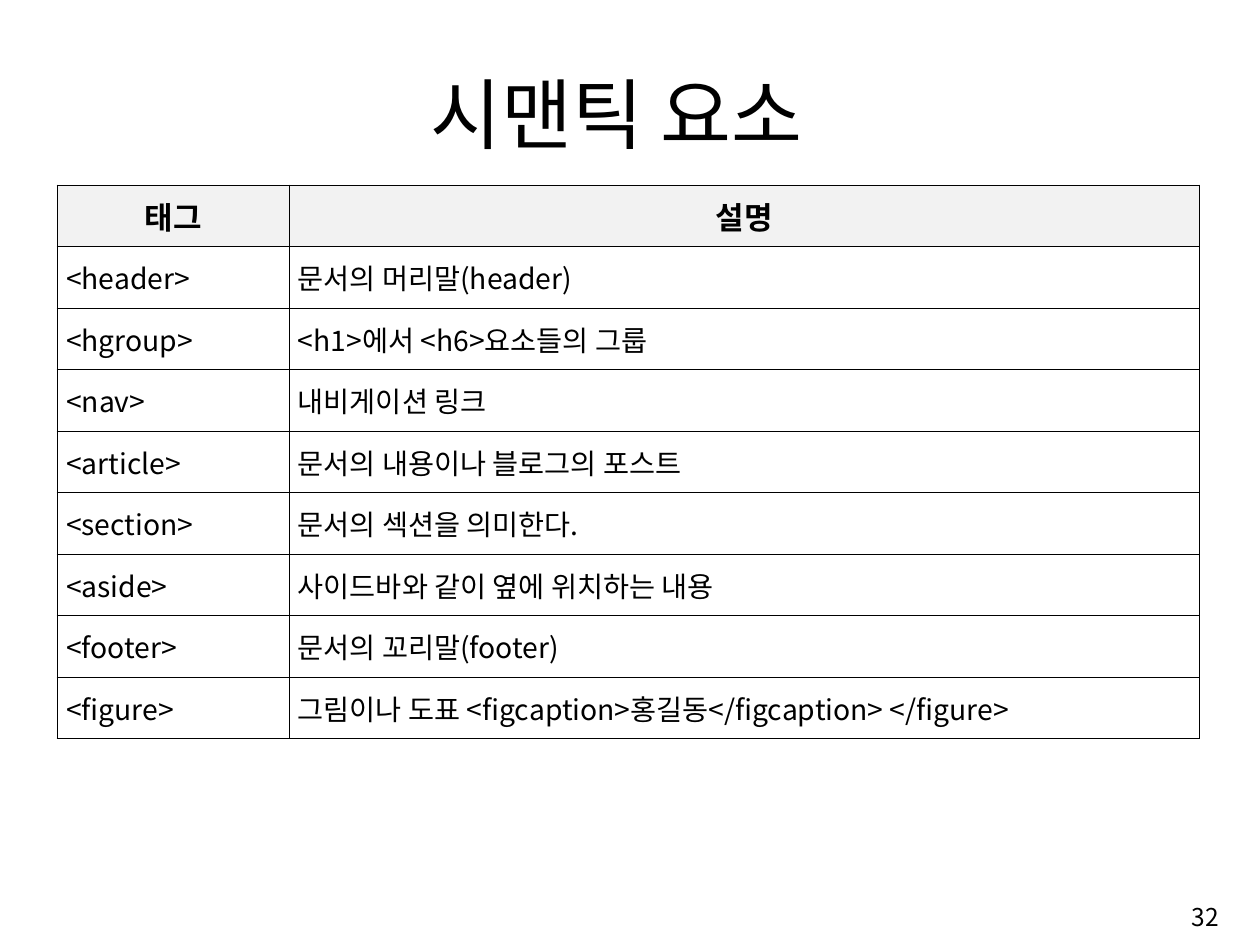
from dataclasses import dataclass

from lxml.etree import SubElement
from pptx import Presentation
from pptx.dml.color import RGBColor as Rgb
from pptx.enum.text import MSO_ANCHOR as Anchor, MSO_AUTO_SIZE as Fit, PP_ALIGN as Align
from pptx.oxml.ns import qn
from pptx.slide import Slide
from pptx.table import _Cell as Cell
from pptx.text.text import TextFrame as Frame
from pptx.util import Cm, Pt

FONT = "Noto Sans CJK KR"
COLORS = {"ink": "000000", "head": "F2F2F2"}
COLS = (6.07, 23.83)
ROW = 1.61


@dataclass
class Style:
    size: float
    align: Align
    bold: bool = False


@dataclass
class Entry:
    tag: str
    note: str


HEAD = Style(23, Align.CENTER, True)
BODY = Style(21, Align.JUSTIFY)
ROWS = [
    Entry("태그", "설명"),
    Entry("<header>", "문서의 머리말(header)"),
    Entry("<hgroup>", "<h1>에서 <h6>요소들의 그룹"),
    Entry("<nav>", "내비게이션 링크"),
    Entry("<article>", "문서의 내용이나 블로그의 포스트"),
    Entry("<section>", "문서의 섹션을 의미한다."),
    Entry("<aside>", "사이드바와 같이 옆에 위치하는 내용"),
    Entry("<footer>", "문서의 꼬리말(footer)"),
    Entry("<figure>", "그림이나 도표 <figcaption>홍길동</figcaption> </figure>"),
]


def write(frame: Frame, text: str, style: Style) -> None:
    para = frame.paragraphs[0]
    para.alignment = style.align
    run = para.add_run()
    run.text = text
    font = run.font
    font.name = FONT
    font.size = Pt(style.size)
    font.bold = style.bold
    font.color.rgb = Rgb.from_string(COLORS["ink"])
    SubElement(run._r.get_or_add_rPr(), qn("a:ea"), typeface=FONT)


def border(cell: Cell) -> None:
    props = cell._tc.get_or_add_tcPr()
    for index, side in enumerate(("lnL", "lnR", "lnT", "lnB")):
        line = SubElement(props, qn(f"a:{side}"), w=str(Pt(1)))
        fill = SubElement(line, qn("a:solidFill"))
        SubElement(fill, qn("a:srgbClr"), val=COLORS["ink"])
        props.insert(index, line)


def fill_cell(cell: Cell, text: str, head: bool) -> None:
    cell.vertical_anchor = Anchor.MIDDLE
    cell.margin_left = cell.margin_right = Cm(0.23)
    cell.margin_top = cell.margin_bottom = Cm(0.08)
    if head:
        cell.fill.solid()
        cell.fill.fore_color.rgb = Rgb.from_string(COLORS["head"])
    else:
        cell.fill.background()
    border(cell)
    write(cell.text_frame, text, HEAD if head else BODY)


def add_title(slide: Slide) -> None:
    title = slide.shapes.title
    title.left, title.top = Cm(2.67), Cm(1.55)
    title.width, title.height = Cm(26.95), Cm(2.74)
    frame = title.text_frame
    frame.auto_size = Fit.NONE
    frame.vertical_anchor = Anchor.BOTTOM
    write(frame, "시맨틱 요소", Style(57.2, Align.CENTER))


def add_tags(slide: Slide) -> None:
    table = slide.shapes.add_table(
        len(ROWS), len(COLS), Cm(1.5), Cm(4.85), Cm(sum(COLS)), Cm(ROW * len(ROWS))
    ).table
    table.first_row = table.horz_banding = False
    for col, width in zip(table.columns, COLS):
        col.width = Cm(width)
    for index, entry in enumerate(ROWS):
        table.rows[index].height = Cm(ROW)
        for col, text in enumerate((entry.tag, entry.note)):
            fill_cell(table.cell(index, col), text, index == 0)


def add_page(slide: Slide) -> None:
    frame = slide.shapes.add_textbox(Cm(25.35), Cm(23.24), Cm(6.81), Cm(1.52)).text_frame
    frame.word_wrap = True
    frame.vertical_anchor = Anchor.MIDDLE
    write(frame, "32", Style(18.2, Align.RIGHT))


def main() -> None:
    deck = Presentation()
    deck.slide_width, deck.slide_height = Cm(32.99), Cm(24.74)
    slide = deck.slides.add_slide(deck.slide_layouts[5])
    add_title(slide)
    add_tags(slide)
    add_page(slide)
    deck.save("out.pptx")


if __name__ == "__main__":
    main()
